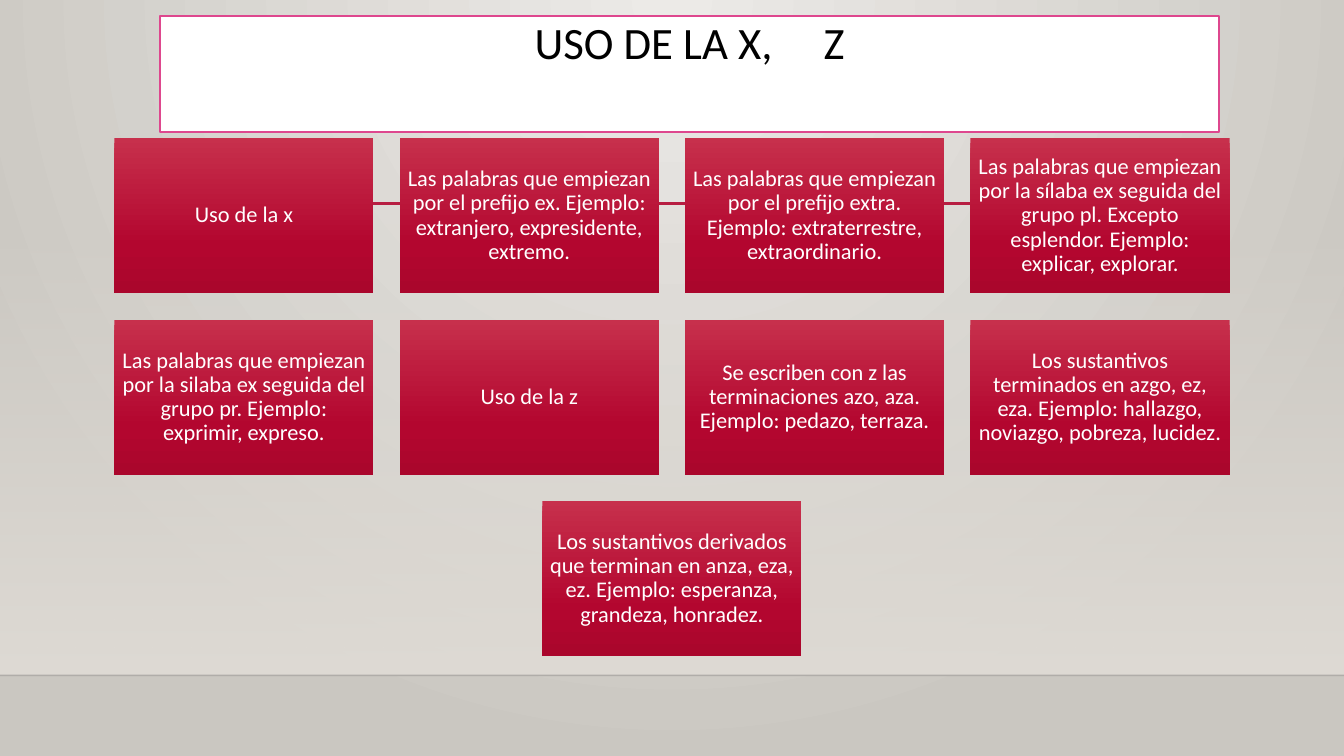
"""Builds a slide with the spelling rules for the letters x and z."""
from dataclasses import dataclass

from lxml.etree import SubElement
from pptx import Presentation
from pptx.dml.color import RGBColor as Rgb
from pptx.enum.shapes import MSO_CONNECTOR as Connector, MSO_SHAPE as Shape
from pptx.enum.text import MSO_ANCHOR as Anchor, MSO_AUTO_SIZE as AutoSize, PP_ALIGN as Align
from pptx.oxml.ns import qn
from pptx.util import Inches, Pt


@dataclass(frozen=True)
class Theme:
    font: str = "Calibri"
    title_size: int = 32
    rule_size: int = 16
    title_text: str = "000000"
    title_fill: str = "FFFFFF"
    title_line: str = "DE478E"
    rule_text: str = "FFFFFF"
    chain: str = "B71E42"
    floor_line: str = "000001"
    backdrop: tuple = ((0, "ECEAE7", 100), (100, "CAC7C1", 100))
    wall: tuple = ((0, "DFDBD5", 0), (100, "DFDBD5", 100))
    rule_fill: tuple = ((0, "C7304C", 100), (69, "B3062F", 100), (100, "AA062C", 100))


SLIDE_WIDTH, SLIDE_HEIGHT = 13.33, 7.5
BOX_WIDTH, BOX_HEIGHT, GAP = 2.57, 1.54, 0.26
GRID_TOP, COLUMNS = 1.37, 4
FLOOR_TOP = 6.7

RULES = [
    "Uso de la x",
    "Las palabras que empiezan por el prefijo ex. Ejemplo: extranjero, expresidente, extremo.",
    "Las palabras que empiezan por el prefijo extra. Ejemplo: extraterrestre, extraordinario.",
    "Las palabras que empiezan por la sílaba ex seguida del grupo pl. Excepto esplendor. "
    "Ejemplo: explicar, explorar.",
    "Las palabras que empiezan por la silaba ex seguida del grupo pr. Ejemplo: exprimir, expreso.",
    "Uso de la z",
    "Se escriben con z las terminaciones azo, aza. Ejemplo: pedazo, terraza.",
    "Los sustantivos terminados en azgo, ez, eza. Ejemplo: hallazgo, noviazgo, pobreza, lucidez.",
    "Los sustantivos derivados que terminan en anza, eza, ez. "
    "Ejemplo: esperanza, grandeza, honradez.",
]


def write_text(frame, *pieces, font, size, color, anchor=Anchor.MIDDLE, inset=0.07, spacing=None):
    """Writes one centred paragraph, widening blank pieces by spacing points."""
    frame.word_wrap = True
    frame.auto_size = AutoSize.NONE
    frame.vertical_anchor = anchor
    frame.margin_left = frame.margin_right = Inches(inset)
    frame.margin_top = frame.margin_bottom = Inches(inset)
    para = frame.paragraphs[0]
    para.alignment = Align.CENTER
    para.line_spacing = 0.9
    for piece in pieces:
        span = para.add_run()
        span.text = piece
        span.font.name = font
        span.font.size = Pt(size)
        span.font.color.rgb = Rgb.from_string(color)
        if spacing and piece.isspace():
            span.font._element.set("spc", str(spacing * 100))


def set_gradient(fill, element, stops, radial=False):
    """Fills an element with a vertical gradient, or one spreading from the top centre."""
    fill.gradient()
    gradient = element.find(".//" + qn("a:gradFill"))
    for child in list(gradient):
        gradient.remove(child)
    stop_list = SubElement(gradient, qn("a:gsLst"))
    for position, color, opacity in stops:
        stop = SubElement(stop_list, qn("a:gs"), pos=str(position * 1000))
        tint = SubElement(stop, qn("a:srgbClr"), val=color)
        if opacity < 100:
            SubElement(tint, qn("a:alpha"), val=str(opacity * 1000))
    if radial:
        spread = SubElement(gradient, qn("a:path"), path="circle")
        SubElement(spread, qn("a:fillToRect"), l="43000", t="0", r="43000", b="100000")
    else:
        SubElement(gradient, qn("a:lin"), ang="5400000", scaled="0")


class SlideBuilder:
    """Holds the theme and the current slide."""

    def __init__(self, theme, slide):
        """Keeps the theme and the slide to draw on."""
        self.theme = theme
        self.slide = slide

    def backdrop(self):
        """Paints the slide background."""
        set_gradient(self.slide.background.fill, self.slide.element, self.theme.backdrop, radial=True)

    def title(self, *pieces, left, top, width, height, spacing):
        """Places and formats the title placeholder."""
        title = self.slide.shapes.title
        title.left, title.top = Inches(left), Inches(top)
        title.width, title.height = Inches(width), Inches(height)
        title.fill.solid()
        title.fill.fore_color.rgb = Rgb.from_string(self.theme.title_fill)
        title.line.color.rgb = Rgb.from_string(self.theme.title_line)
        title.line.width = Pt(1.25)
        write_text(title.text_frame, *pieces, font=self.theme.font, size=self.theme.title_size,
                   color=self.theme.title_text, anchor=Anchor.TOP, inset=0.05, spacing=spacing)

    def panel(self, left, top, width, height, stops):
        """Adds a borderless rectangle with a gradient fill."""
        box = self.slide.shapes.add_shape(
            Shape.RECTANGLE, Inches(left), Inches(top), Inches(width), Inches(height))
        box.shadow.inherit = False
        set_gradient(box.fill, box.element, stops)
        box.line.fill.background()
        return box

    def rule_box(self, text, left, top):
        """Adds a red box with a spelling rule."""
        box = self.panel(left, top, BOX_WIDTH, BOX_HEIGHT, self.theme.rule_fill)
        write_text(box.text_frame, text, font=self.theme.font, size=self.theme.rule_size,
                   color=self.theme.rule_text)

    def line(self, left, right, top, color, width, opacity=100):
        """Adds a horizontal line."""
        line = self.slide.shapes.add_connector(
            Connector.STRAIGHT, Inches(left), Inches(top), Inches(right), Inches(top))
        line.line.color.rgb = Rgb.from_string(color)
        line.line.width = Pt(width)
        if opacity < 100:
            tint = line.element.spPr.find(".//" + qn("a:srgbClr"))
            SubElement(tint, qn("a:alpha"), val=str(opacity * 1000))
        SubElement(line.element.spPr, qn("a:effectLst"))


def main():
    """Builds and saves the deck."""
    theme = Theme()
    deck = Presentation()
    deck.slide_width, deck.slide_height = Inches(SLIDE_WIDTH), Inches(SLIDE_HEIGHT)
    page = SlideBuilder(theme, deck.slides.add_slide(deck.slide_layouts[5]))

    page.backdrop()
    page.panel(0, 2.21, SLIDE_WIDTH, FLOOR_TOP - 2.21, theme.wall)
    page.line(0, SLIDE_WIDTH, FLOOR_TOP, theme.floor_line, 1, opacity=20)
    page.line(1.59, 12.1, 2.02, theme.chain, 2.5)
    page.title("USO DE LA X,", " ", "Z", left=1.59, top=0.16, width=10.5, height=1.15, spacing=29)

    for row, start in enumerate(range(0, len(RULES), COLUMNS)):
        row_rules = RULES[start:start + COLUMNS]
        row_width = len(row_rules) * (BOX_WIDTH + GAP) - GAP
        row_left = (SLIDE_WIDTH - row_width) / 2
        for column, rule in enumerate(row_rules):
            page.rule_box(rule, row_left + column * (BOX_WIDTH + GAP),
                          GRID_TOP + row * (BOX_HEIGHT + GAP))

    deck.save("out.pptx")


if __name__ == "__main__":
    main()
